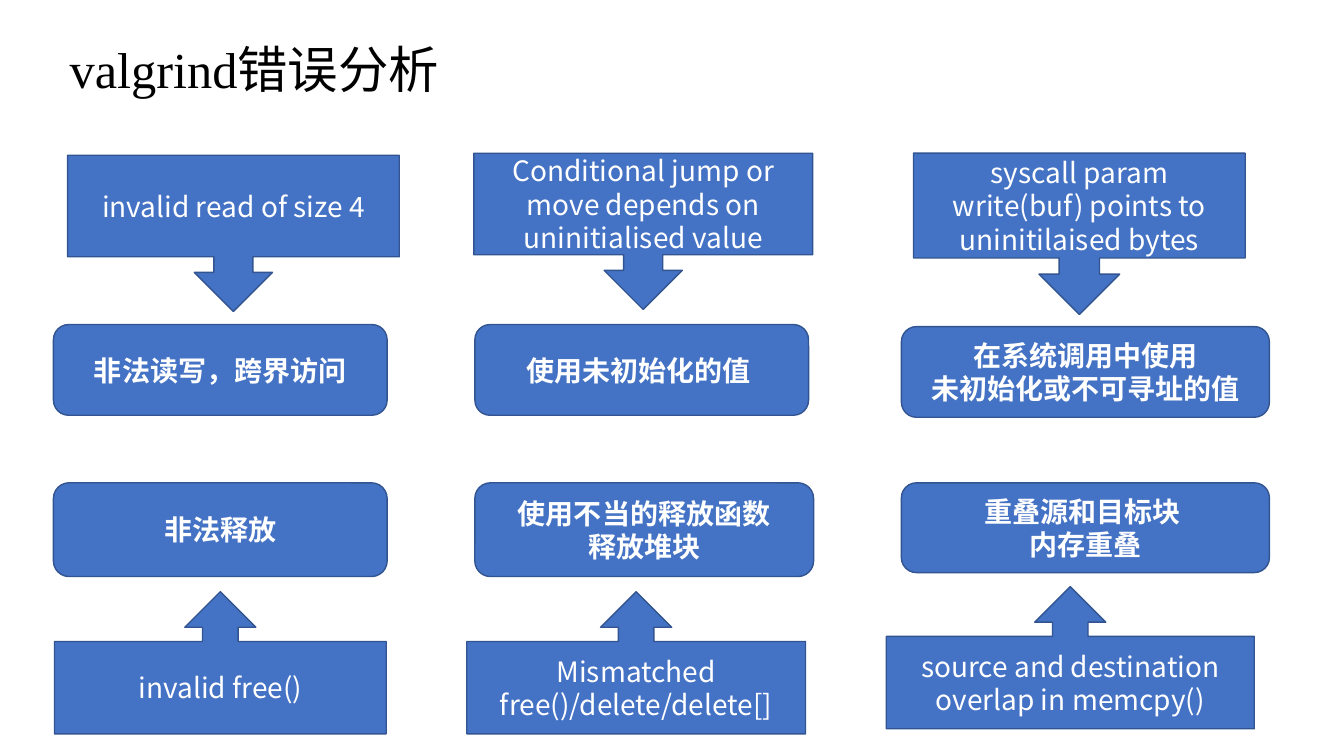
"""Build the slide that maps valgrind messages to their causes."""
import pptx
import pptx.util
import pptx.dml.color
import pptx.enum.shapes
import pptx.enum.text
import pptx.oxml
import pptx.oxml.ns
from dataclasses import dataclass

Inches = pptx.util.Inches
Pt = pptx.util.Pt
RGB = pptx.dml.color.RGBColor.from_string
KIND = pptx.enum.shapes.MSO_SHAPE
ALIGN = pptx.enum.text.PP_ALIGN
MIDDLE = pptx.enum.text.MSO_ANCHOR.MIDDLE


@dataclass(frozen=True)
class Theme:
    """Colours, fonts and type sizes."""
    fill: str = "4472C4"
    edge: str = "325491"
    light: str = "FFFFFF"
    dark: str = "000000"
    sans: str = "Noto Sans CJK SC"
    serif: str = "Times New Roman"
    head: int = 36
    body: int = 20
    lead: int = 24


THEME = Theme()
SIZE = (13.33, 7.5)
TITLE = ("valgrind错误分析", 0.59, 0.39, 7.37, 0.65)
COLS = (0.53, 4.71, 8.94)

# Each row: kind, top, height, bold, then cells of text, width, dx, dy, extra height
ROWS = (
    (KIND.DOWN_ARROW_CALLOUT, 1.52, 1.55, False, (
        ("invalid read of size 4", 3.29, 0.14, 0.02, 0),
        ("Conditional jump or move depends on uninitialised value", 3.36, -0.01, 0, 0),
        ("syscall param write(buf) points to uninitilaised bytes", 3.29, 0.12, 0, 0.05))),
    (KIND.ROUNDED_RECTANGLE, 3.22, 0.9, True, (
        ("非法读写，跨界访问", 3.31, 0, 0, 0),
        ("使用未初始化的值 ", 3.31, 0, 0, 0),
        ("在系统调用中使用\n未初始化或不可寻址的值", 3.65, 0, 0.02, 0))),
    (KIND.ROUNDED_RECTANGLE, 4.79, 0.93, True, (
        ("非法释放", 3.31, 0, 0, 0),
        ("使用不当的释放函数\n释放堆块", 3.36, 0, 0, 0),
        ("重叠源和目标块 \n内存重叠", 3.65, 0, 0, -0.04))),
    (KIND.UP_ARROW_CALLOUT, 5.87, 1.41, False, (
        ("invalid free()", 3.29, 0.01, 0, 0),
        ("Mismatched free()/delete/delete[]", 3.36, -0.08, 0, 0),
        ("source and destination overlap in memcpy()", 3.65, -0.15, -0.05, 0))),
)


def style(para, size, color, latin, bold=False):
    """Set the Latin and East Asian type of a paragraph."""
    font = para.font
    font.size, font.bold, font.name = Pt(size), bold, latin
    font.color.rgb = RGB(color)
    props = para._p.find(".//" + pptx.oxml.ns.qn("a:defRPr"))
    props.append(pptx.oxml.parse_xml(
        f'<a:ea {pptx.oxml.ns.nsdecls("a")} typeface="{THEME.sans}"/>'))


def add_title(slide):
    """Fill and place the title."""
    text, *box = TITLE
    title = slide.shapes.title
    title.left, title.top, title.width, title.height = map(Inches, box)
    frame = title.text_frame
    frame.text = text
    frame.auto_size = pptx.enum.text.MSO_AUTO_SIZE.NONE
    frame.vertical_anchor = MIDDLE
    para = frame.paragraphs[0]
    para.alignment, para.line_spacing = ALIGN.LEFT, 0.9
    style(para, THEME.head, THEME.dark, THEME.serif)


def add_box(slide, kind, box, text, bold):
    """Add one filled shape with centred text."""
    shape = slide.shapes.add_shape(kind, *map(Inches, box))
    shape.shadow.inherit = False
    shape.fill.solid()
    shape.fill.fore_color.rgb = RGB(THEME.fill)
    shape.line.color.rgb = RGB(THEME.edge)
    shape.line.width = Pt(1)
    frame = shape.text_frame
    frame.text = text
    frame.word_wrap, frame.vertical_anchor = True, MIDDLE
    for para in frame.paragraphs:
        para.alignment, para.line_spacing = ALIGN.CENTER, Pt(THEME.lead)
        style(para, THEME.body, THEME.light, THEME.sans, bold)


def main():
    """Lay out the slide and save it."""
    deck = pptx.Presentation()
    deck.slide_width, deck.slide_height = map(Inches, SIZE)
    slide = deck.slides.add_slide(deck.slide_layouts[5])
    add_title(slide)
    for kind, top, height, bold, cells in ROWS:
        for left, (text, width, dx, dy, extra) in zip(COLS, cells):
            box = (left + dx, top + dy, width, height + extra)
            add_box(slide, kind, box, text, bold)
    deck.save("out.pptx")


if __name__ == "__main__":
    main()
